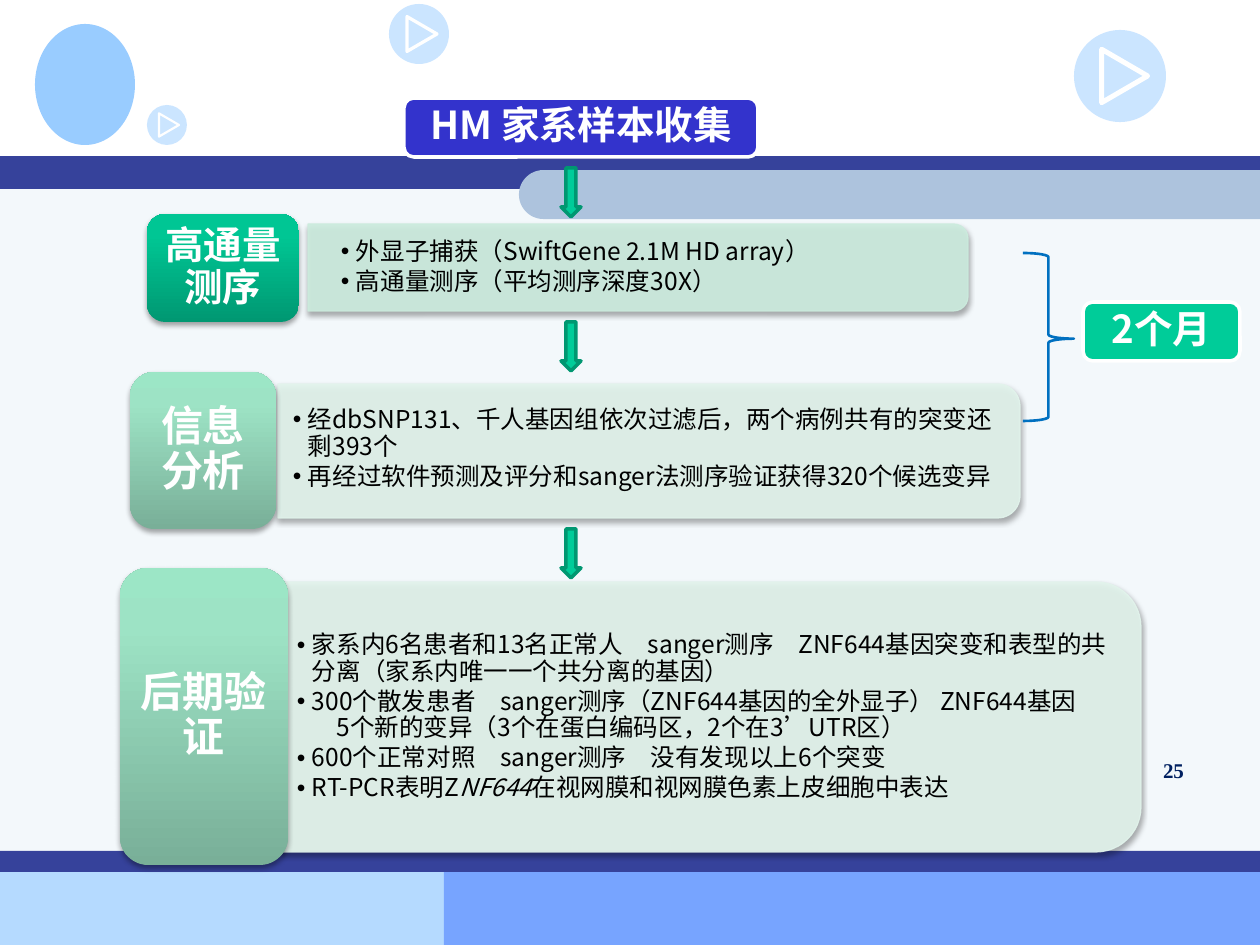
from copy import deepcopy

from pptx import Presentation
from pptx.dml.color import RGBColor
from pptx.enum.shapes import MSO_SHAPE as Shape
from pptx.enum.text import MSO_ANCHOR as Anchor, MSO_AUTO_SIZE as AutoSize, PP_ALIGN as Align
from pptx.oxml.ns import qn
from pptx.oxml.xmlchemy import OxmlElement
from pptx.util import Pt

SCALE = 914400 / 126
FONT = "Noto Sans CJK KR"
COLORS = {
    "white": "FFFFFF", "black": "000000", "blue": "3333CC", "sky": "99CCFF",
    "bar": "36429B", "body": "F3F8FB", "band": "ADC3DD",
    "footer_left": "B5DAFF", "footer_right": "77A4FF", "number": "002060",
    "green": "00CC99", "green_edge": "009771", "brace": "0070C0",
    "panel_strong": "CCECDE", "panel_pale": "E2F4EC",
}
STRONG = ["009872", "00C694", "00C795"]
PALE = ["79AF98", "9DE3C5", "9CE6C6"]


def px(value):
    return round(value * SCALE)


def rgb(name):
    return RGBColor.from_string(COLORS[name])


def add_child(parent, tag, **attributes):
    child = OxmlElement(tag)
    for name, value in attributes.items():
        child.set(name, str(value))
    parent.append(child)
    return child


def set_alpha(shape, percent):
    for color in shape._element.spPr.iter(qn("a:srgbClr")):
        add_child(color, "a:alpha", val=percent * 1000)


def add_shadow(shape):
    effects = shape._element.spPr.find(qn("a:effectLst"))
    shadow = add_child(effects, "a:outerShdw", blurRad=Pt(3.1), dist=Pt(1.8),
                       dir=5400000, rotWithShape=0)
    color = add_child(shadow, "a:srgbClr", val=COLORS["black"])
    add_child(color, "a:alpha", val=35000)


def add_figure(slide, kind, box, fill=None, line=None, width=2):
    shape = slide.shapes.add_shape(kind, *map(px, box))
    shape.shadow.inherit = False
    if fill:
        shape.fill.solid()
        shape.fill.fore_color.rgb = rgb(fill)
    else:
        shape.fill.background()
    if line:
        shape.line.color.rgb = rgb(line)
        shape.line.width = Pt(width)
    else:
        shape.line.fill.background()
    return shape


def add_sideways(slide, box, rotation, fill, line=None):
    left, top, width, height = box
    turned = (left + (width - height) / 2, top + (height - width) / 2, height, width)
    shape = add_figure(slide, Shape.ROUND_2_SAME_RECTANGLE, turned, fill, line, 0.75)
    shape.rotation = rotation
    return shape


def format_run(run, size, color, bold, font=FONT):
    run.font.size = Pt(size)
    run.font.bold = bold
    run.font.color.rgb = rgb(color)
    run.font.name = font
    add_child(run._r.get_or_add_rPr(), "a:ea", typeface=font)


def prepare_frame(frame, margins):
    frame.word_wrap = True
    frame.auto_size = AutoSize.NONE
    frame.vertical_anchor = Anchor.MIDDLE
    frame.margin_left, frame.margin_top, frame.margin_right, frame.margin_bottom = map(px, margins)


def write_label(shape, text, size):
    frame = shape.text_frame
    prepare_frame(frame, (11, 6, 11, 6))
    frame.text = text
    paragraph = frame.paragraphs[0]
    paragraph.alignment = Align.CENTER
    paragraph.line_spacing = 0.9
    format_run(paragraph.runs[0], size, "white", True)


def place(placeholder, box):
    placeholder.left, placeholder.top, placeholder.width, placeholder.height = map(px, box)
    element = placeholder._element
    element.getparent().append(element)


def write_list(placeholder, box, margins, items):
    place(placeholder, box)
    frame = placeholder.text_frame
    prepare_frame(frame, margins)
    for index, item in enumerate(items):
        paragraph = frame.add_paragraph() if index else frame.paragraphs[0]
        parts = item.split("*")
        paragraph.text = parts[0]
        for position, part in enumerate(parts[1:], 1):
            run = paragraph.add_run()
            run.text = part
            run.font.italic = position % 2 == 1
        paragraph.alignment = Align.LEFT
        paragraph.line_spacing = 0.9
        paragraph.space_before = Pt(0)
        paragraph.space_after = Pt(2)
        properties = paragraph._p.get_or_add_pPr()
        properties.set("marL", str(px(15)))
        properties.set("indent", str(px(-15)))
        add_child(properties, "a:buFont", typeface="Arial")
        add_child(properties, "a:buChar", char="•")
        for run in paragraph.runs:
            format_run(run, 14, "black", False)


def add_stage_label(slide, box, text, size, shades):
    shape = add_figure(slide, Shape.ROUNDED_RECTANGLE, box)
    shape.fill.gradient()
    shape.fill.gradient_angle = 90
    stops = shape._element.spPr.find(qn("a:gradFill")).find(qn("a:gsLst"))
    stops.append(deepcopy(stops[-1]))
    for stop, position, shade in zip(shape.fill.gradient_stops, (0, 0.8, 1), shades):
        stop.position = position
        stop.color.rgb = RGBColor.from_string(shade)
    add_shadow(shape)
    write_label(shape, text, size)


def add_panel(slide, box, fill):
    shape = add_sideways(slide, box, 90, fill, fill)
    set_alpha(shape, 90)
    add_shadow(shape)


def add_play_icon(slide, left, top, size):
    circle = add_figure(slide, Shape.OVAL, (left, top, size, size), "sky")
    set_alpha(circle, 50)
    base, height = size * 0.58, size * 0.5
    box = (left + size * 0.55 - base / 2, top + (size - height) / 2, base, height)
    triangle = add_figure(slide, Shape.ISOSCELES_TRIANGLE, box, None, "white", size / 32)
    triangle.rotation = 90


def add_background(slide):
    for box, fill in [
        ((0, 872, 535, 73), "footer_left"), ((444, 871, 816, 74), "footer_right"),
        ((0, 176, 1260, 695), "body"), ((0, 156, 1260, 33), "bar"),
        ((0, 851, 1260, 21), "bar"),
    ]:
        add_figure(slide, Shape.RECTANGLE, box, fill)
    band = add_sideways(slide, (519, 170, 741, 49), 270, "band")
    band.adjustments[0] = 0.5
    add_figure(slide, Shape.OVAL, (35, 24, 100, 121), "sky")
    for left, top, size in [(389, 4, 60), (1074, 30, 92), (147, 105, 40)]:
        add_play_icon(slide, left, top, size)


def add_page_number(slide):
    box = slide.shapes.add_textbox(*map(px, (903, 745, 294, 50)))
    prepare_frame(box.text_frame, (13, 6, 13, 6))
    box.text_frame.text = "25"
    paragraph = box.text_frame.paragraphs[0]
    paragraph.alignment = Align.RIGHT
    format_run(paragraph.runs[0], 12, "number", True, "Times New Roman")


def main():
    presentation = Presentation()
    presentation.slide_width, presentation.slide_height = px(1260), px(945)
    slide = presentation.slides.add_slide(presentation.slide_layouts[4])
    title, *bodies = slide.placeholders
    add_background(slide)
    add_page_number(slide)

    add_figure(slide, Shape.ROUNDED_RECTANGLE, (404, 98, 354, 59), "blue", "white")
    place(title, (407, 101, 348, 53))
    write_label(title, "HM 家系样本收集", 22)

    stages = [
        ((308, 224, 660, 87), "panel_strong", (307, 229, 656, 78), (34, 18, 34, 18),
         (147, 214, 152, 108), "高通量测序", 22, STRONG,
         ["外显子捕获（SwiftGene 2.1M HD array）", "高通量测序（平均测序深度30X）"]),
        ((278, 384, 742, 134), "panel_pale", (278, 389, 735, 120), (15, 18, 15, 18),
         (130, 372, 146, 157), "信息分析", 24, PALE,
         ["经dbSNP131、千人基因组依次过滤后，两个病例共有的突变还剩393个",
          "再经过软件预测及评分和sanger法测序验证获得320个候选变异"]),
        ((282, 582, 859, 270), "panel_pale", (282, 596, 847, 243), (15, 15, 10, 15),
         (120, 568, 168, 297), "后期验证", 24, PALE,
         ["家系内6名患者和13名正常人　sanger测序　ZNF644基因突变和表型的共分离（家系内唯一一个共分离的基因）",
          "300个散发患者　sanger测序（ZNF644基因的全外显子） ZNF644基因\v　5个新的变异（3个在蛋白编码区，2个在3’UTR区）",
          "600个正常对照　sanger测序　没有发现以上6个突变",
          "RT-PCR表明Z*NF644*在视网膜和视网膜色素上皮细胞中表达"]),
    ]
    for body, stage in zip(bodies, stages):
        panel, fill, text_box, margins, label, name, size, shades, items = stage
        add_panel(slide, panel, fill)
        write_list(body, text_box, margins, items)
        add_stage_label(slide, label, name, size, shades)
    for unused in bodies[len(stages):]:
        unused._element.getparent().remove(unused._element)

    brace = add_figure(slide, Shape.RIGHT_BRACE, (1023, 253, 51, 168), None, "brace", 1.5)
    brace.adjustments[0], brace.adjustments[1] = 0.08, 0.51
    duration = add_figure(slide, Shape.ROUNDED_RECTANGLE, (1083, 302, 157, 59), "green", "white")
    write_label(duration, "2个月", 22)
    for top in (168, 322, 529):
        add_figure(slide, Shape.DOWN_ARROW, (561, top, 20, 49), "green", "green_edge")
    presentation.save("out.pptx")


if __name__ == "__main__":
    main()
